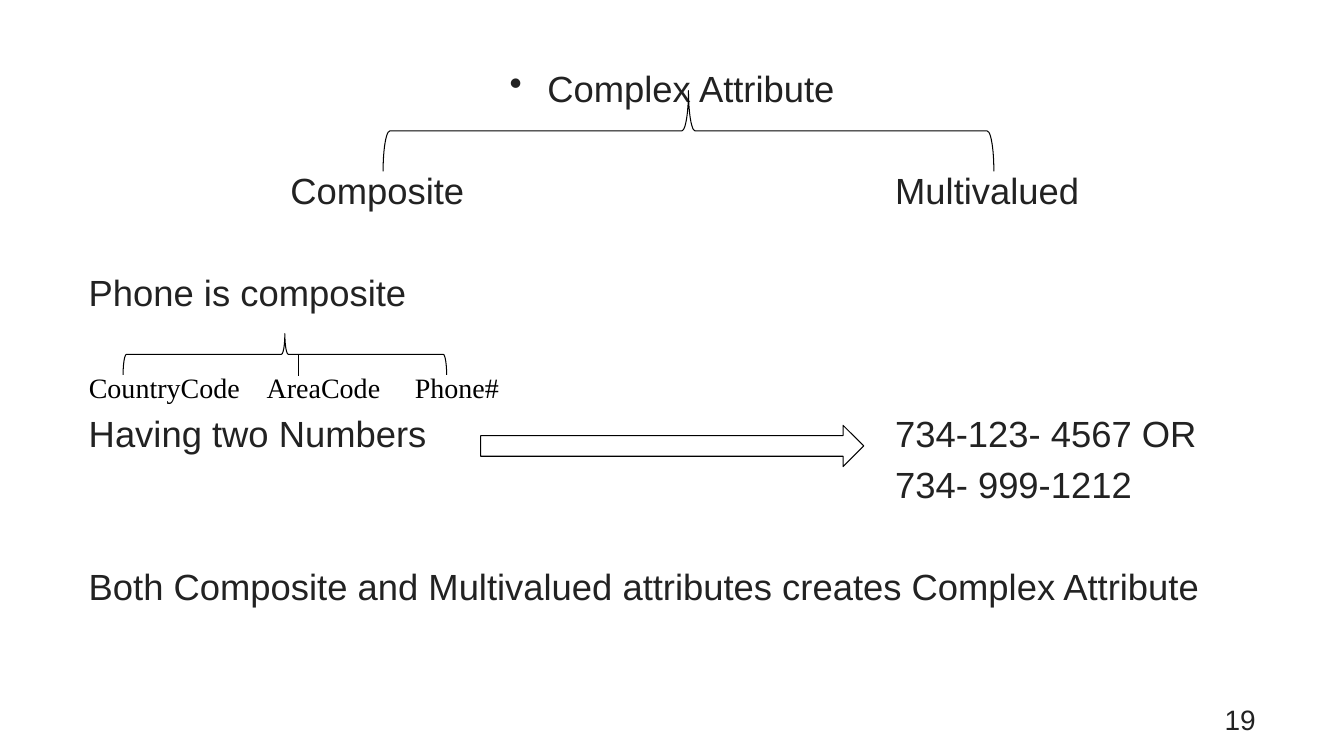
from lxml.etree import SubElement
from pptx import Presentation
from pptx.dml.color import RGBColor
from pptx.enum.shapes import MSO_CONNECTOR as Connector, MSO_SHAPE as Shape
from pptx.enum.text import PP_ALIGN as Align
from pptx.oxml.ns import qn
from pptx.util import Pt

WHITE = RGBColor(0xFF, 0xFF, 0xFF)
BLACK = RGBColor(0, 0, 0)
CHARCOAL = RGBColor(0x22, 0x22, 0x22)

LEFT, RIGHT = 63.4, 897
COMPOSITE_LEFT = LEFT + 2 * 72
MULTIVALUED_LEFT = LEFT + 8 * 72
FIRST_ROW, ROW_PITCH = 47.2, 36.45
NUMBERS_ROW = 293.6


class SlideBuilder:
    """Draws the elements of one slide in a shared style."""

    def __init__(self, slide):
        self.slide = slide

    def text(self, words, left, top, right=RIGHT, size=26, name="Arial",
             color=CHARCOAL, align=Align.LEFT):
        box = self.slide.shapes.add_textbox(
            Pt(left), Pt(top), Pt(right - left), Pt(size * 1.15))
        frame = box.text_frame
        frame.word_wrap = True
        frame.margin_left = frame.margin_right = 0
        frame.margin_top = frame.margin_bottom = 0
        paragraph = frame.paragraphs[0]
        paragraph.text = words
        paragraph.alignment = align
        paragraph.font.size = Pt(size)
        paragraph.font.name = name
        paragraph.font.color.rgb = color
        return paragraph

    def bullet(self, paragraph, indent):
        properties = paragraph._p.get_or_add_pPr()
        properties.set("marL", str(Pt(indent)))
        properties.set("indent", str(-Pt(indent)))
        mark = SubElement(properties, qn("a:buChar"))
        mark.set("char", "•")
        properties.insert(0, mark)

    def outline(self, kind, left, top, width, height, rotation=0):
        shape = self.slide.shapes.add_shape(
            kind, Pt(left), Pt(top), Pt(width), Pt(height))
        shape.rotation = rotation
        shape.shadow.inherit = False
        shape.fill.solid()
        shape.fill.fore_color.rgb = WHITE
        self.stroke(shape)

    def line(self, x1, y1, x2, y2):
        connector = self.slide.shapes.add_connector(
            Connector.STRAIGHT, Pt(x1), Pt(y1), Pt(x2), Pt(y2))
        self.stroke(connector)
        SubElement(connector._element.spPr, qn("a:effectLst"))

    def stroke(self, shape):
        shape.line.color.rgb = BLACK
        shape.line.width = Pt(0.75)


presentation = Presentation()
presentation.slide_width, presentation.slide_height = Pt(960), Pt(540)
builder = SlideBuilder(
    presentation.slides.add_slide(presentation.slide_layouts[6]))

heading = builder.text("Complex Attribute", LEFT, FIRST_ROW, align=Align.CENTER)
builder.bullet(heading, 27)

composite_row = FIRST_ROW + 2 * ROW_PITCH
for words, left, top in (
    ("Composite", COMPOSITE_LEFT, composite_row),
    ("Multivalued", MULTIVALUED_LEFT, composite_row),
    ("Phone is composite", LEFT, FIRST_ROW + 4 * ROW_PITCH),
    ("Having two Numbers", LEFT, NUMBERS_ROW),
    ("734-123- 4567 OR", MULTIVALUED_LEFT, NUMBERS_ROW),
    ("734- 999-1212", MULTIVALUED_LEFT, NUMBERS_ROW + ROW_PITCH),
    ("Both Composite and Multivalued attributes creates Complex Attribute",
     LEFT, NUMBERS_ROW + 3 * ROW_PITCH),
):
    builder.text(words, left, top)

for part, left in (("CountryCode", LEFT), ("AreaCode", 190.4), ("Phone#", 296.3)):
    builder.text(part, left, 264.3, left + 115, 20, "Times New Roman", BLACK)

builder.text("19", 695, 501.8, size=20, align=Align.RIGHT)

builder.outline(Shape.RIGHT_BRACE, 463, -124.6, 57.6, 436.3, 270)
builder.outline(Shape.LEFT_BRACE, 188.7, 137.5, 29.5, 231.1, 90)
builder.line(213.1, 253.4, 213.1, 268.6)
builder.outline(Shape.RIGHT_ARROW, 343.4, 303.8, 273.6, 29.5)

presentation.save("out.pptx")
